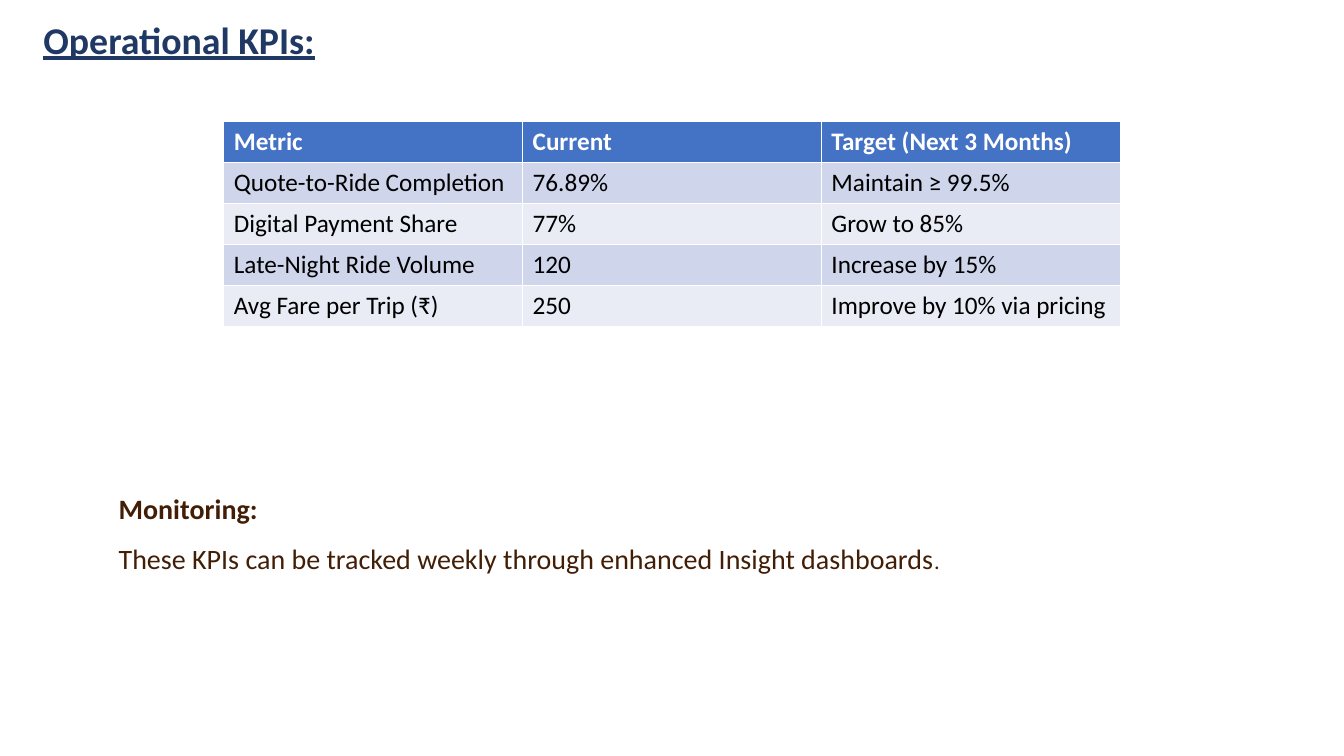
"""Build the operational KPI slide with its target table and monitoring note."""
import pptx
import pptx.dml.color
import pptx.enum.text
import pptx.util

Cm = pptx.util.Cm
FONT = "Calibri"
COLORS = {
    "title": "203864",
    "header": "4472C4",
    "header_text": "FFFFFF",
    "odd_row": "CFD5EA",
    "even_row": "E9EBF5",
    "cell_text": "000000",
    "note": "421E06",
}
KPIS = [
    ("Metric", "Current", "Target (Next 3 Months)"),
    ("Quote-to-Ride Completion", "76.89%", "Maintain ≥ 99.5%"),
    ("Digital Payment Share", "77%", "Grow to 85%"),
    ("Late-Night Ride Volume", "120", "Increase by 15%"),
    ("Avg Fare per Trip (₹)", "250", "Improve by 10% via pricing"),
]


def rgb(name):
    """Return the named palette colour."""
    return pptx.dml.color.RGBColor.from_string(COLORS[name])


def format_run(r, size, color, bold=False, underline=None):
    """Apply the slide font to a run."""
    r.font.name = FONT
    r.font.size = pptx.util.Pt(size)
    r.font.bold = bold
    r.font.underline = underline
    r.font.color.rgb = rgb(color)


def set_title(slide, text):
    """Place and format the title placeholder."""
    sp = slide.shapes.title
    sp.left, sp.top, sp.width, sp.height = Cm(0.84), Cm(0.41), Cm(29.21), Cm(1.3)
    tf = sp.text_frame
    tf.text = text
    tf.auto_size = pptx.enum.text.MSO_AUTO_SIZE.NONE
    tf.vertical_anchor = pptx.enum.text.MSO_ANCHOR.MIDDLE
    p = tf.paragraphs[0]
    p.alignment = pptx.enum.text.PP_ALIGN.LEFT
    p.line_spacing = 0.9
    format_run(p.runs[0], 27, "title", bold=True, underline=True)


def add_kpi_table(slide, rows):
    """Add the table with a coloured header and banded rows."""
    table = slide.shapes.add_table(
        len(rows), len(rows[0]), Cm(5.64), Cm(3.07), Cm(22.59), Cm(5.15)
    ).table
    for i, row in enumerate(rows):
        if i == 0:
            fill, color = "header", "header_text"
        else:
            fill, color = ("odd_row" if i % 2 else "even_row"), "cell_text"
        for j, text in enumerate(row):
            cell = table.cell(i, j)
            cell.text = text
            cell.vertical_anchor = pptx.enum.text.MSO_ANCHOR.MIDDLE
            cell.fill.solid()
            cell.fill.fore_color.rgb = rgb(fill)
            format_run(cell.text_frame.paragraphs[0].runs[0], 18, color, bold=i == 0)


def add_note(slide, heading, sentence):
    """Add the monitoring note as a heading line and a sentence."""
    sp = slide.shapes.add_textbox(Cm(2.74), Cm(11.89), Cm(23.04), Cm(2.69))
    tf = sp.text_frame
    tf.word_wrap = False
    tf.auto_size = pptx.enum.text.MSO_AUTO_SIZE.SHAPE_TO_FIT_TEXT
    tf.vertical_anchor = pptx.enum.text.MSO_ANCHOR.MIDDLE
    p = tf.paragraphs[0]
    p.text = f"{heading}\v{sentence}"
    p.line_spacing = 1.5
    r = p.add_run()
    r.text = "."
    for r, size, bold in zip(p.runs, (20, 20, 16), (True, False, False)):
        format_run(r, size, "note", bold)


def main():
    """Create and save the slide."""
    prs = pptx.Presentation()
    prs.slide_width, prs.slide_height = Cm(33.87), Cm(19.05)
    slide = prs.slides.add_slide(prs.slide_layouts.get_by_name("Title Only"))
    set_title(slide, "Operational KPIs:")
    add_kpi_table(slide, KPIS)
    add_note(
        slide,
        "Monitoring:",
        "These KPIs can be tracked weekly through enhanced Insight dashboards",
    )
    prs.save("out.pptx")


if __name__ == "__main__":
    main()
